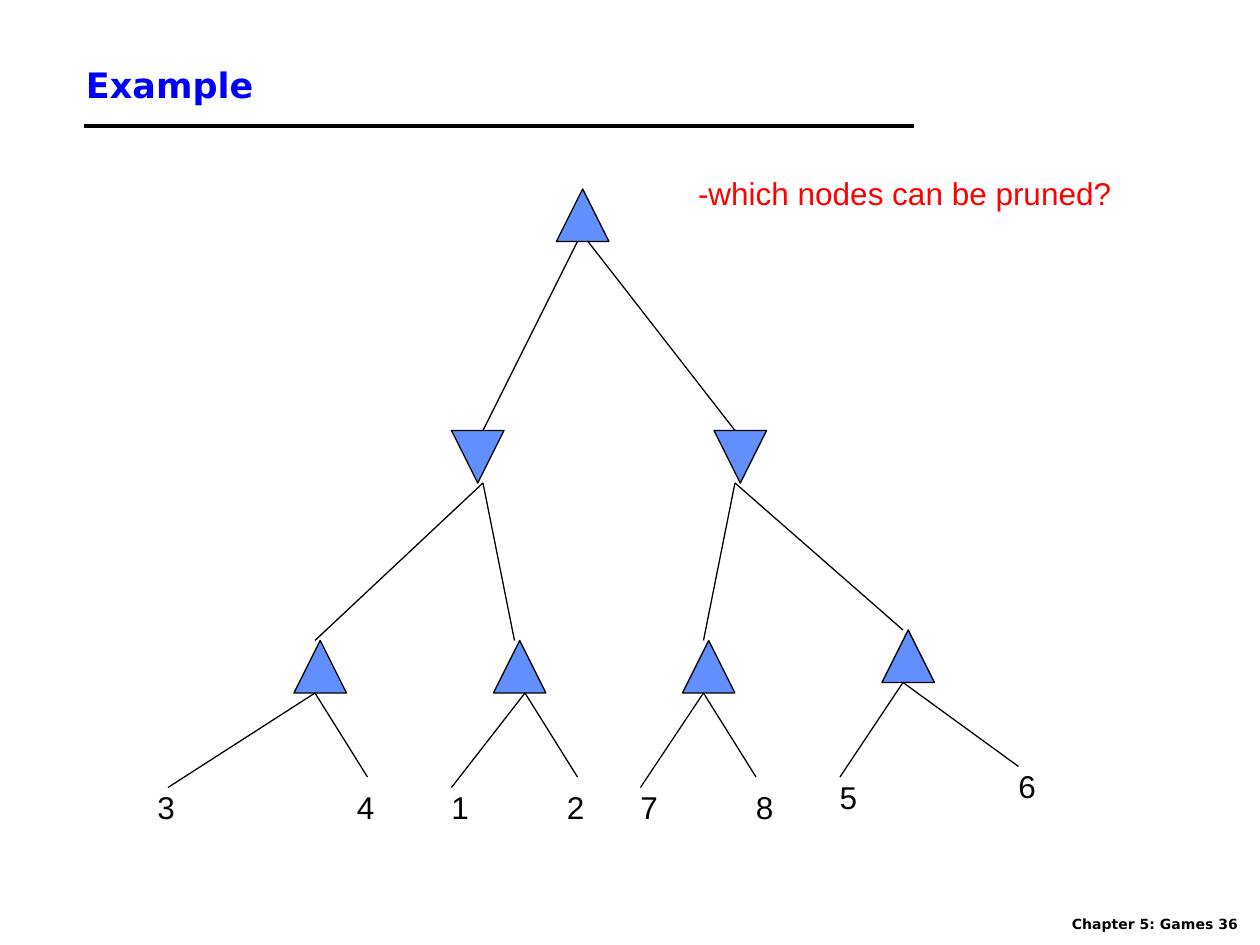
from lxml import etree
from pptx import Presentation
from pptx.dml.color import RGBColor
from pptx.enum.shapes import MSO_CONNECTOR, MSO_SHAPE
from pptx.enum.text import MSO_ANCHOR
from pptx.oxml.ns import qn
from pptx.util import Inches, Pt

TRIANGLE = MSO_SHAPE.ISOSCELES_TRIANGLE
STRAIGHT = MSO_CONNECTOR.STRAIGHT
TOP, MIDDLE = MSO_ANCHOR.TOP, MSO_ANCHOR.MIDDLE

CELLS_PER_INCH = 12
NODE_SIZE = 5
LABEL_SHIFT = -0.2

MAX_NODES = [(28, 61), (47, 61), (65, 61), (84, 60), (53, 18)]
MIN_NODES = [(43, 41), (68, 41)]

# Each branch point with the ends of the edges below it
BRANCHES = [
    ((55, 23), [(46, 41)]),
    ((56, 23), [(70, 41)]),
    ((46, 46), [(30, 61), (49, 61)]),
    ((70, 46), [(67, 61), (86, 60)]),
    ((30, 66), [(16, 75), (35, 74)]),
    ((50, 66), [(43, 75), (55, 74)]),
    ((67, 66), [(61, 75), (72, 74)]),
    ((86, 65), [(80, 74), (97, 73)]),
]

LEAVES = [
    ("3", 14, 74.5), ("4", 33, 74.5), ("1", 42, 74.5), ("2", 53, 74.5),
    ("7", 60, 74.5), ("8", 71, 74.5), ("5", 79, 73.5), ("6", 96, 72.5),
]


def cells(count):
    return Inches(count / CELLS_PER_INCH)


def color(hex_code):
    return RGBColor.from_string(hex_code)


class TreeSlide:
    """Style and slide; all positions are in grid cells of 1/12 inch."""

    ink = "000000"
    node_fill = "618FFD"
    title_color = "0000FF"
    question_color = "FF0000"
    heading_font = "DejaVu Sans"
    body_font = "Arial"
    thin = 0.75
    thick = 2.25

    def __init__(self, slide):
        self.slide = slide

    def node(self, left, top, rotation=0):
        triangle = self.slide.shapes.add_shape(
            TRIANGLE, cells(left), cells(top), cells(NODE_SIZE), cells(NODE_SIZE))
        triangle.rotation = rotation
        triangle.shadow.inherit = False
        triangle.fill.solid()
        triangle.fill.fore_color.rgb = color(self.node_fill)
        triangle.line.color.rgb = color(self.ink)
        triangle.line.width = Pt(self.thin)

    def edge(self, start, end, width=thin):
        line = self.slide.shapes.add_connector(
            STRAIGHT, *(cells(value) for value in (*start, *end)))
        line.line.color.rgb = color(self.ink)
        line.line.width = Pt(width)
        etree.SubElement(line._element.spPr, qn("a:effectLst"))

    def text(self, wording, left, top, width, height, size=18, font=body_font,
             ink=ink, bold=False, anchor=TOP, wrap=False):
        box = self.slide.shapes.add_textbox(
            cells(left), cells(top), cells(width), cells(height))
        frame = box.text_frame
        frame.word_wrap = wrap
        frame.vertical_anchor = anchor
        run = frame.paragraphs[0].add_run()
        run.text = wording
        run.font.size = Pt(size)
        run.font.name = font
        run.font.bold = bold
        run.font.color.rgb = color(ink)

    def heading(self, wording, *area, **style):
        self.text(wording, *area, font=self.heading_font, bold=True, **style)


def main():
    deck = Presentation()
    deck.slide_width, deck.slide_height = Inches(10), Inches(7.5)
    page = TreeSlide(deck.slides.add_slide(deck.slide_layouts[6]))

    page.heading("Chapter 5: Games 36", 100.9, 86.6, 19.1, 2.8, size=8)
    page.edge((8, 12), (87, 12), page.thick)
    page.heading("Example", 7, 4, 102, 8, size=20, ink=page.title_color,
                 anchor=MIDDLE, wrap=True)

    for left, top in MAX_NODES:
        page.node(left, top)
    for left, top in MIN_NODES:
        page.node(left, top, rotation=180)
    for start, ends in BRANCHES:
        for end in ends:
            page.edge(start, end)
    for value, left, top in LEAVES:
        page.text(value, left + LABEL_SHIFT, top, 4.1, 4.8)
    page.text("-which nodes can be pruned?", 65.3, 16, 41.8, 8.4,
              ink=page.question_color)

    deck.save("out.pptx")


if __name__ == "__main__":
    main()
